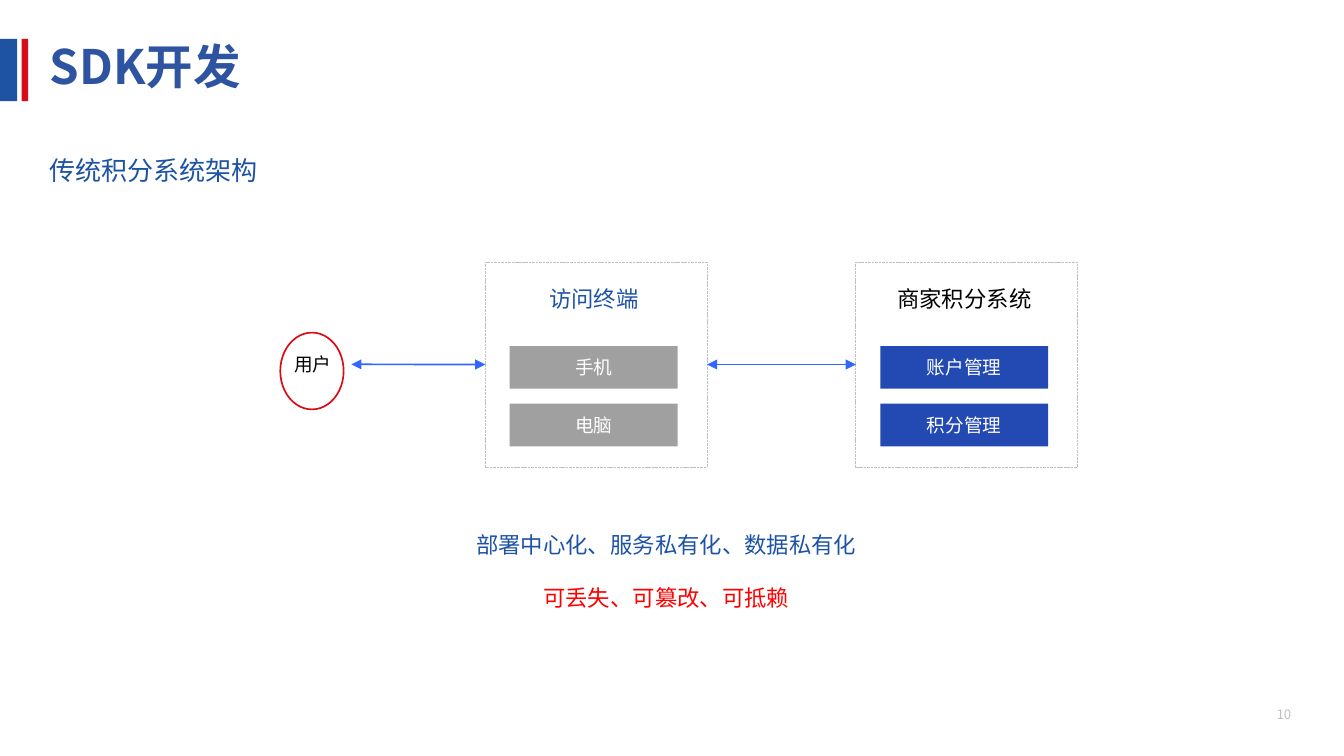
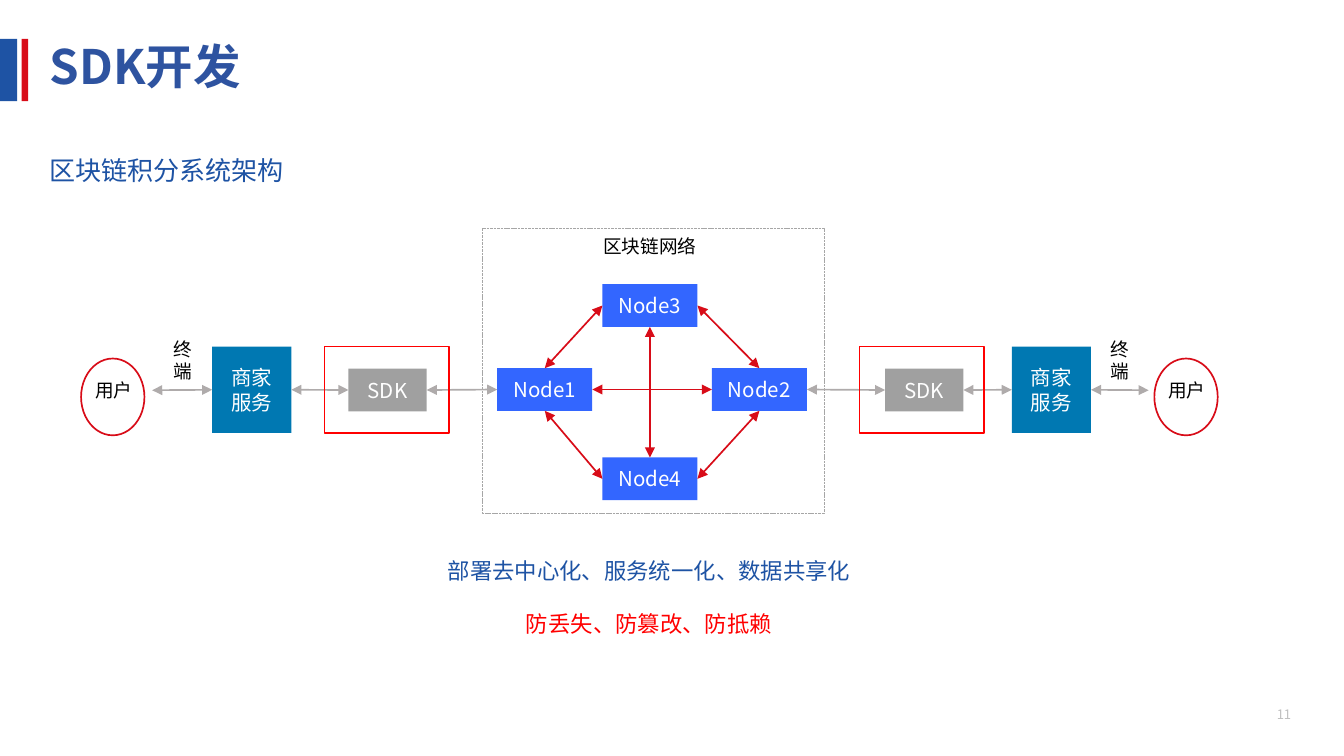
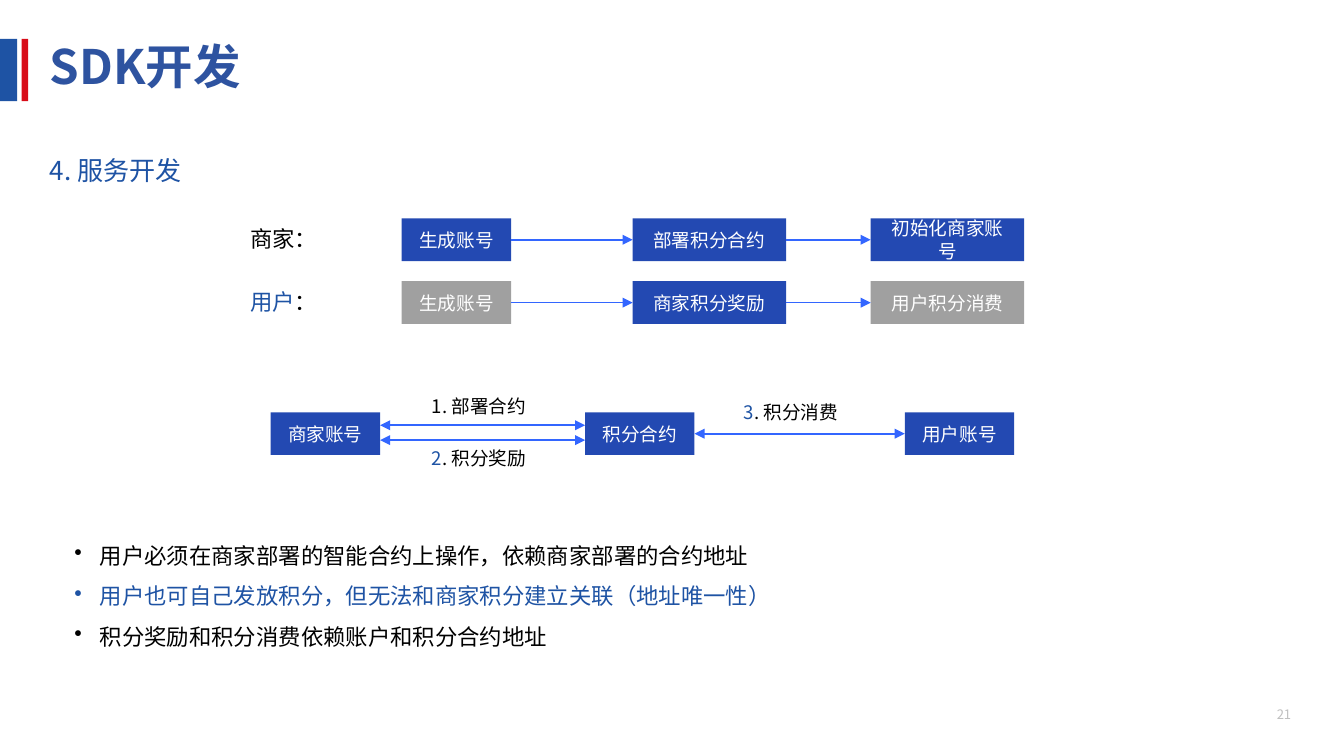
"""Builds three SDK development slides on points system architecture."""
from itertools import pairwise

from lxml.etree import SubElement
from pptx import Presentation
from pptx.dml.color import RGBColor
from pptx.enum.dml import MSO_LINE
from pptx.enum.shapes import MSO_CONNECTOR, MSO_SHAPE
from pptx.enum.text import MSO_ANCHOR, PP_ALIGN
from pptx.oxml.ns import qn
from pptx.util import Cm, Pt

FACE = "Noto Sans CJK SC"
TITLE = "SDK开发"

NAVY = RGBColor(0x1E, 0x53, 0xA4)
INDIGO = RGBColor(0x2E, 0x53, 0xA0)
ROYAL = RGBColor(0x23, 0x49, 0xB2)
BRIGHT = RGBColor(0x33, 0x66, 0xFF)
TEAL = RGBColor(0x00, 0x78, 0xB2)
CRIMSON = RGBColor(0xD8, 0x0C, 0x18)
RED = RGBColor(0xFF, 0x00, 0x00)
GRAY = RGBColor(0xA0, 0xA0, 0xA0)
ASH = RGBColor(0xAF, 0xAB, 0xAB)
STONE = RGBColor(0xA6, 0xA6, 0xA6)
SILVER = RGBColor(0xBF, 0xBF, 0xBF)
BLACK = RGBColor(0, 0, 0)
WHITE = RGBColor(0xFF, 0xFF, 0xFF)

LEFT, CENTER, RIGHT = PP_ALIGN.LEFT, PP_ALIGN.CENTER, PP_ALIGN.RIGHT
TOP, WEST, BOTTOM, EAST = range(4)
BAR = 0.89

PANELS = [
    (10.11, "访问终端", NAVY, GRAY, ["手机", "电脑"]),
    (17.83, "商家积分系统", BLACK, ROYAL, ["账户管理", "积分管理"]),
]
OLD_NOTES = ["部署中心化、服务私有化、数据私有化", "可丢失、可篡改、可抵赖"]
NEW_NOTES = ["部署去中心化、服务统一化、数据共享化", "防丢失、防篡改、防抵赖"]

NODES = {
    "Node1": (10.36, 7.67),
    "Node2": (14.83, 7.67),
    "Node3": (12.55, 5.92),
    "Node4": (12.55, 9.53),
}
MESH = [
    ("Node1", TOP, "Node3", WEST),
    ("Node2", TOP, "Node3", EAST),
    ("Node4", EAST, "Node2", BOTTOM),
    ("Node4", WEST, "Node1", BOTTOM),
    ("Node1", EAST, "Node2", WEST),
    ("Node3", BOTTOM, "Node4", TOP),
]
SIDES = [
    ("Node1", WEST, EAST, 1.57, 3.38, 4.42, 6.76, 7.26),
    ("Node2", EAST, WEST, 23.93, 22.91, 21.08, 17.91, 18.44),
]

COLUMNS = [(8.37, 2.28), (13.18, 3.2), (18.14, 3.2)]
FLOWS = [
    (4.55, [("商家：", BLACK)],
     [("生成账号", ROYAL), ("部署积分合约", ROYAL), ("初始化商家账号", ROYAL)]),
    (5.86, [("用户", NAVY), ("：", BLACK)],
     [("生成账号", GRAY), ("商家积分奖励", ROYAL), ("用户积分消费", GRAY)]),
]
ACCOUNTS = [(5.64, "商家账号"), (12.19, "积分合约"), (18.85, "用户账号")]
STEPS = [
    (8.38, 8.08, [("1. 部署合约", BLACK)]),
    (8.38, 9.17, [("2", NAVY), (". 积分奖励", BLACK)]),
    (14.88, 8.2, [("3", NAVY), (". 积分消费", BLACK)]),
]
POINTS = [
    ("用户必须在商家部署的智能合约上操作，依赖商家部署的合约地址", BLACK),
    ("用户也可自己发放积分，但无法和商家积分建立关联（地址唯一性）", NAVY),
    ("积分奖励和积分消费依赖账户和积分合约地址", BLACK),
]


def style(para, parts, size, align=LEFT, space=None, bold=None, bullet=False):
    """Fill a paragraph with (text, colour) parts."""
    props = para._p.get_or_add_pPr()
    if bullet:
        props.set("marL", str(Cm(0.53)))
        props.set("indent", str(-Cm(0.53)))
        SubElement(props, qn("a:buChar")).set("char", "•")
    para.alignment = align
    if space:
        para.line_spacing = space
    font = para.font
    font.size, font.bold = Pt(size), bold
    font.color.rgb = parts[0][1]
    font.name = FACE
    SubElement(props.find(qn("a:defRPr")), qn("a:ea")).set("typeface", FACE)
    for text, color in parts:
        run = para.add_run()
        run.text = text
        if len(parts) > 1:
            run.font.color.rgb = color


def label(slide, area, paras, size, pad=(0.15, 0.15), **look):
    """Add a text box; each paragraph is a list of parts."""
    shape = slide.shapes.add_textbox(*map(Cm, area))
    frame = shape.text_frame
    frame.word_wrap = True
    frame.margin_left = frame.margin_right = Cm(pad[0])
    frame.margin_top = frame.margin_bottom = Cm(pad[1])
    for i, parts in enumerate(paras):
        para = frame.add_paragraph() if i else frame.paragraphs[0]
        style(para, parts, size, **look)
    return shape


def box(slide, area, fill=None, text="", size=11, line=None, width=1,
        dash=None, kind=MSO_SHAPE.RECTANGLE):
    """Add a preset shape with centred white text."""
    shape = slide.shapes.add_shape(kind, *map(Cm, area))
    shape.shadow.inherit = False
    if fill is None:
        shape.fill.background()
    else:
        shape.fill.solid()
        shape.fill.fore_color.rgb = fill
    if line is None:
        shape.line.fill.background()
    else:
        shape.line.color.rgb = line
        shape.line.width = Pt(width)
        shape.line.dash_style = dash
    if text:
        shape.text_frame.vertical_anchor = MSO_ANCHOR.MIDDLE
        style(shape.text_frame.paragraphs[0], [(text, WHITE)], size, CENTER)
    return shape


def panel(slide, area, color):
    """Add a dotted outline."""
    box(slide, area, line=color, width=0.5, dash=MSO_LINE.SQUARE_DOT)


def arrow(slide, color, ends=(0, 0, 0, 0), both=True):
    """Add a straight arrow, pointed at one end or both."""
    wire = slide.shapes.add_connector(MSO_CONNECTOR.STRAIGHT, *map(Cm, ends))
    wire.line.color.rgb = color
    wire.line.width = Pt(1)
    props = wire._element.spPr
    for tag in ["a:headEnd", "a:tailEnd"] if both else ["a:tailEnd"]:
        SubElement(props.find(qn("a:ln")), qn(tag)).set("type", "triangle")
    SubElement(props, qn("a:effectLst"))
    return wire


def join(slide, color, start, out, end, into, both=True):
    """Join two shapes at their sides with an arrow."""
    wire = arrow(slide, color, both=both)
    wire.begin_connect(start, out)
    wire.end_connect(end, into)


def user(slide, x, y):
    """Add a user circle and return its label."""
    box(slide, (x + 0.12, y - 0.28, 1.32, 1.6), WHITE, line=CRIMSON,
        kind=MSO_SHAPE.OVAL)
    return label(slide, (x, y, 1.6, 0.76), [[("用户", BLACK)]], 11,
                 align=CENTER)


def notes(slide, x, y, lines):
    """Add the two summary lines."""
    for i, (text, color) in enumerate(zip(lines, (NAVY, RED))):
        label(slide, (x, y + i * 1.1, 9.98, 1.14), [[(text, color)]], 13.2,
              align=CENTER, space=1.5)


def page(deck, number, topic):
    """Add a slide with the shared bands, title, topic and number."""
    slide = deck.slides.add_slide(deck.slide_layouts[6])
    box(slide, (0, 0.81, 0.36, 1.3), NAVY)
    box(slide, (0.45, 0.81, 0.14, 1.3), CRIMSON)
    label(slide, (1.04, 0.91, 25.9, 1.07), [[(TITLE, INDIGO)]], 28, (0, 0),
          space=0.9, bold=True)
    label(slide, (0.89, 2.74, 25.7, 1.27), [[(topic, NAVY)]], 15.4, space=1.5)
    label(slide, (22.15, 14.58, 5, 0.71), [[(str(number), SILVER)]], 7.7,
          (0.25, 0.13), align=RIGHT)
    return slide


def classic(deck):
    """Draw the traditional architecture."""
    slide = page(deck, 10, "传统积分系统架构")
    last = user(slide, 5.72, 7.21)
    for x, head, color, fill, items in PANELS:
        frame = box(slide, (x, 5.46, 4.62, 4.27), line=SILVER, width=0.5,
                    dash=MSO_LINE.SQUARE_DOT)
        label(slide, (x + 0.51, 5.79, 3.5, 0.84), [[(head, color)]], 13.2,
              align=CENTER)
        for i, item in enumerate(items):
            box(slide, (x + 0.51, 7.21 + i * 1.2, 3.5, BAR), fill, item)
        join(slide, BRIGHT, last, EAST, frame, WEST)
        last = frame
    notes(slide, 8.89, 10.64, OLD_NOTES)


def chain(deck):
    """Draw the blockchain architecture."""
    slide = page(deck, 11, "区块链积分系统架构")
    panel(slide, (10.06, 4.75, 7.11, 5.94), STONE)
    label(slide, (11.89, 4.75, 3.3, 0.76), [[("区块链网络", BLACK)]], 11,
          align=CENTER)
    nodes = {name: box(slide, (x, y, 1.98, BAR), BRIGHT, name, 12.1)
             for name, (x, y) in NODES.items()}
    for start, out, end, into in MESH:
        join(slide, CRIMSON, nodes[start], out, nodes[end], into)
    for name, outer, inner, person, term, shop, frame, kit in SIDES:
        parts = [
            user(slide, person, 7.75),
            box(slide, (shop, 7.22, 1.65, 1.8), TEAL, "商家服务", 12.1),
            box(slide, (kit, 7.68, 1.63, BAR), GRAY, "SDK", 12.1),
            nodes[name],
        ]
        for start, end in pairwise(parts):
            join(slide, ASH, start, inner, end, outer)
        box(slide, (frame, 7.22, 2.59, 1.8), line=RED)
        label(slide, (term, 6.88, 0.84, 1.22), [[("终端", BLACK)]], 11,
              align=CENTER)
    notes(slide, 8.53, 11.18, NEW_NOTES)


def service(deck):
    """Draw the service development flows."""
    slide = page(deck, 21, "4. 服务开发")
    for y, head, steps in FLOWS:
        label(slide, (1.6, y, 5.16, 0.84), [head], 13.2, align=RIGHT)
        row = [box(slide, (x, y, w, BAR), fill, text)
               for (x, w), (text, fill) in zip(COLUMNS, steps)]
        for start, end in pairwise(row):
            join(slide, BRIGHT, start, EAST, end, WEST, both=False)
    shop, deal, client = [box(slide, (x, 8.59, 2.28, BAR), ROYAL, text)
                          for x, text in ACCOUNTS]
    for y in (8.86, 9.17):
        arrow(slide, BRIGHT, (7.92, y, 12.19, y))
    join(slide, BRIGHT, deal, EAST, client, WEST)
    for x, y, parts in STEPS:
        label(slide, (x, y, 3.2, 0.76), [parts], 11, align=CENTER)
    label(slide, (1.4, 10.87, 22.02, 2.82), [[point] for point in POINTS],
          13.2, space=1.5, bullet=True)


def main():
    """Build and save the deck."""
    deck = Presentation()
    deck.slide_width, deck.slide_height = Cm(28), Cm(15.75)
    for draw in (classic, chain, service):
        draw(deck)
    deck.save("out.pptx")


if __name__ == "__main__":
    main()
